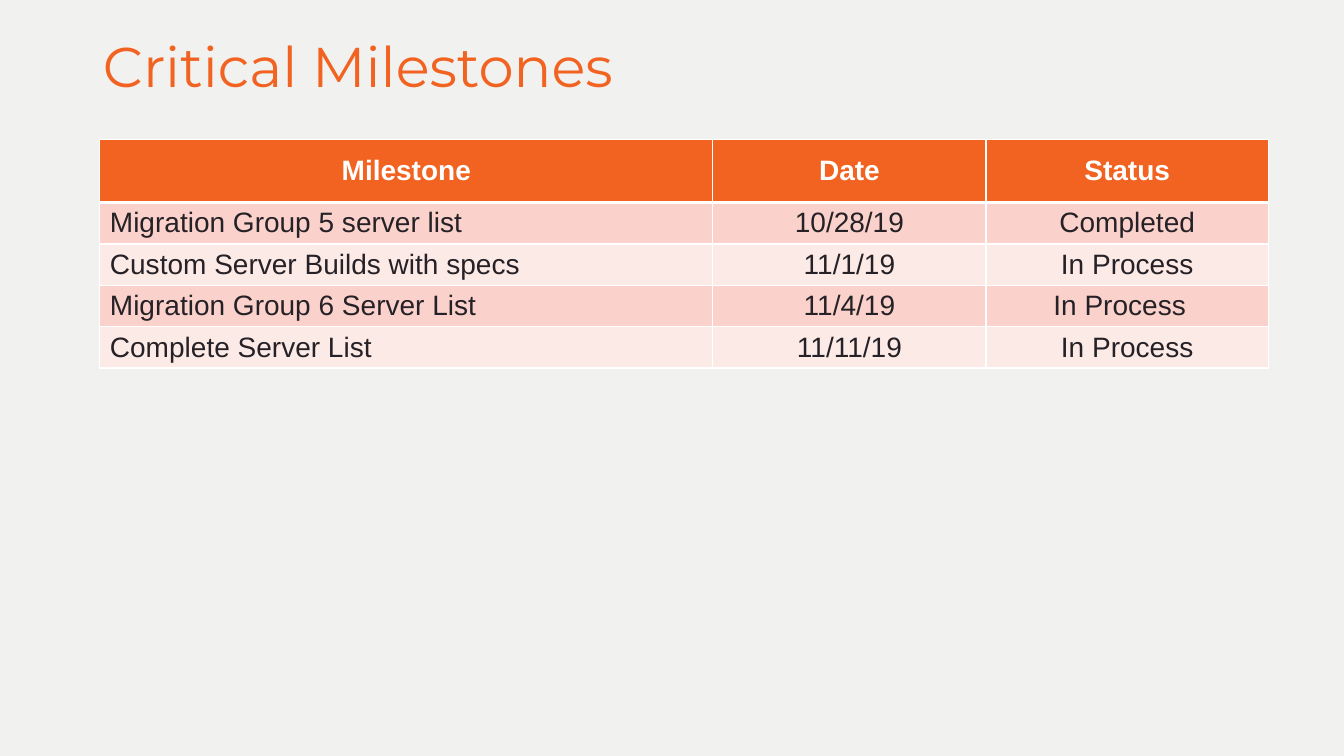
import dataclasses

import pptx
import pptx.dml.color
import pptx.enum.text
import pptx.oxml
import pptx.oxml.ns
import pptx.util

Inches = pptx.util.Inches
Pt = pptx.util.Pt
Align = pptx.enum.text.PP_ALIGN
Anchor = pptx.enum.text.MSO_ANCHOR


@dataclasses.dataclass(frozen=True)
class Theme:
    background: str = "F1F1EF"
    accent: str = "F26322"
    ink: str = "252126"
    white: str = "FFFFFF"
    bands: tuple = ("FAD2CB", "FCEAE7")
    title_font: str = "Montserrat"
    body_font: str = "Arial"
    title_size: int = 40
    body_size: int = 20
    thin: int = 1
    thick: int = 3


def rgb(value):
    return pptx.dml.color.RGBColor.from_string(value)


class SlideBuilder:
    def __init__(self, deck, theme):
        self.theme = theme
        self.page = deck.slides.add_slide(deck.slide_layouts[5])
        fill = self.page.background.fill
        fill.solid()
        fill.fore_color.rgb = rgb(theme.background)

    def format_runs(self, para, font, size, color, bold=False):
        for span in para.runs:
            span.font.name = font
            span.font.size = Pt(size)
            span.font.bold = bold
            span.font.color.rgb = rgb(color)

    def title(self, text, left, top, width, height):
        box = self.page.shapes.title
        box.left, box.top = Inches(left), Inches(top)
        box.width, box.height = Inches(width), Inches(height)
        box.text_frame.text = text
        box.text_frame.vertical_anchor = Anchor.MIDDLE
        para = box.text_frame.paragraphs[0]
        para.alignment = Align.LEFT
        para.line_spacing = 0.9
        self.format_runs(para, self.theme.title_font, self.theme.title_size, self.theme.accent)

    def cell_borders(self, cell, top, bottom):
        """Draw white rules on all four sides; top and bottom are widths in points."""
        properties = cell._tc.get_or_add_tcPr()
        widths = {"L": self.theme.thin, "R": self.theme.thin, "T": top, "B": bottom}
        for side, width in widths.items():
            properties.append(pptx.oxml.parse_xml(
                f'<a:ln{side} {pptx.oxml.ns.nsdecls("a")} w="{Pt(width)}">'
                f'<a:solidFill><a:srgbClr val="{self.theme.white}"/></a:solidFill>'
                f'</a:ln{side}>'))

    def cell(self, cell, text, row, column):
        theme = self.theme
        header = row == 0
        self.cell_borders(cell, theme.thick if row == 1 else theme.thin,
                          theme.thick if header else theme.thin)
        cell.fill.solid()
        cell.fill.fore_color.rgb = rgb(theme.accent if header else theme.bands[(row - 1) % 2])
        cell.vertical_anchor = Anchor.MIDDLE if header else Anchor.TOP
        cell.text_frame.text = text
        para = cell.text_frame.paragraphs[0]
        para.alignment = Align.CENTER if header or column else Align.LEFT
        self.format_runs(para, theme.body_font, theme.body_size,
                         theme.white if header else theme.ink, header)

    def table(self, rows, left, top, widths, heights):
        frame = self.page.shapes.add_table(
            len(rows), len(widths), Inches(left), Inches(top),
            Inches(sum(widths)), Inches(sum(heights)))
        table = frame.table
        for column, width in zip(table.columns, widths):
            column.width = Inches(width)
        for line, height in zip(table.rows, heights):
            line.height = Inches(height)
        for row, texts in enumerate(rows):
            for column, text in enumerate(texts):
                self.cell(table.cell(row, column), text, row, column)
        return table


MILESTONES = [
    ("Milestone", "Date", "Status"),
    ("Migration Group 5 server list", "10/28/19", "Completed"),
    ("Custom Server Builds with specs", "11/1/19", "In Process"),
    ("Migration Group 6 Server List", "11/4/19", "In Process"),
    ("Complete Server List", "11/11/19", "In Process"),
]


def main():
    deck = pptx.Presentation()
    deck.slide_width, deck.slide_height = Inches(13.33), Inches(7.5)
    slide = SlideBuilder(deck, Theme())
    slide.title("Critical Milestones", 0.92, 0.22, 11.5, 0.94)
    milestones = slide.table(MILESTONES, 0.99, 1.38, (6.08, 2.71, 2.8),
                             [0.63] + [0.41] * (len(MILESTONES) - 1))
    # The Group 6 status sits slightly left of centre.
    milestones.cell(3, 2).margin_right = Inches(0.25)
    deck.save("out.pptx")


if __name__ == "__main__":
    main()
